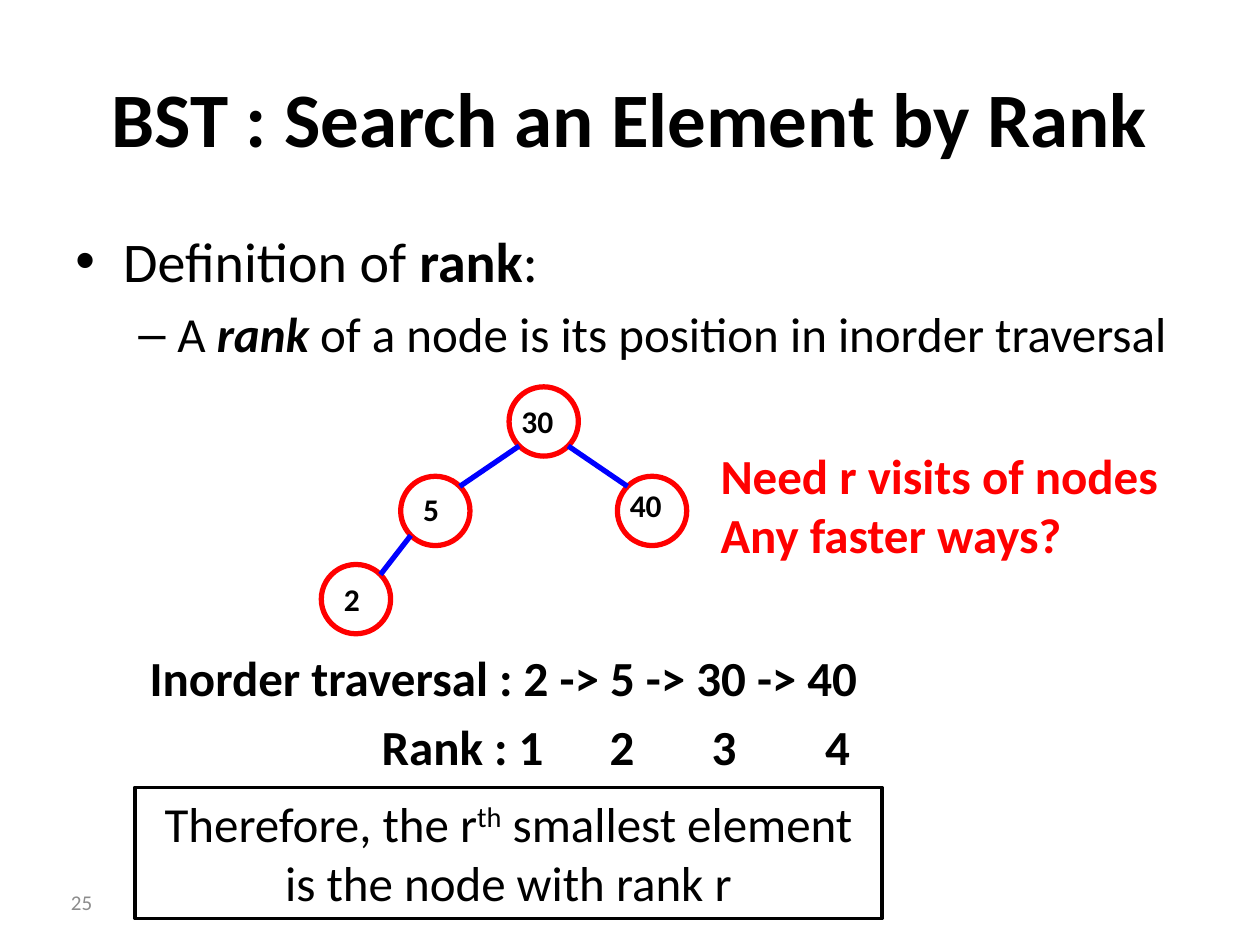
from math import cos, pi

from lxml import etree
from pptx import Presentation
from pptx.dml.color import RGBColor
from pptx.enum.shapes import MSO_CONNECTOR, MSO_SHAPE
from pptx.enum.text import MSO_ANCHOR, PP_ALIGN
from pptx.oxml.ns import qn
from pptx.util import Inches, Pt

NODE_SIZE = 0.55


def color(hex_code):
    return RGBColor.from_string(hex_code)


class SlideBuilder:
    font_name = "Calibri"
    ink = "000000"
    node_line = "FF0000"
    edge_line = "0000FF"

    def __init__(self, slide):
        self.slide = slide

    def run(self, paragraph, text, size, bold=False, italic=False, ink=None, raised=False):
        run = paragraph.add_run()
        run.text = text
        font = run.font
        font.name, font.size = self.font_name, Pt(size)
        font.bold, font.italic = bold, italic
        font.color.rgb = color(ink or self.ink)
        if raised:
            run._r.get_or_add_rPr().set("baseline", "30000")

    def textbox(self, left, top, width, height, anchor=MSO_ANCHOR.TOP, margin=0.05, wrap=True):
        box = self.slide.shapes.add_textbox(
            Inches(left), Inches(top), Inches(width), Inches(height))
        frame = box.text_frame
        frame.word_wrap = wrap
        frame.vertical_anchor = anchor
        frame.margin_top = frame.margin_bottom = Inches(margin)
        return frame

    def label(self, place, text, size, align=PP_ALIGN.LEFT, bold=True, ink=None, **box_style):
        frame = self.textbox(*place, **box_style)
        for index, line in enumerate(text.split("\n")):
            paragraph = frame.add_paragraph() if index else frame.paragraphs[0]
            paragraph.alignment = align
            self.run(paragraph, line, size, bold, ink=ink)
        return frame

    def bullet(self, paragraph, symbol, indent, hanging, size, pieces):
        paragraph.space_before = Pt(size * 0.2)
        properties = paragraph._p.get_or_add_pPr()
        properties.set("marL", str(Inches(indent)))
        properties.set("indent", str(-Inches(hanging)))
        etree.SubElement(properties, qn("a:buFont")).set("typeface", "Arial")
        etree.SubElement(properties, qn("a:buChar")).set("char", symbol)
        for text, bold, italic in pieces:
            self.run(paragraph, text, size, bold, italic)

    def tab_stops(self, paragraph, positions):
        tabs = etree.SubElement(paragraph._p.get_or_add_pPr(), qn("a:tabLst"))
        for position in positions:
            etree.SubElement(tabs, qn("a:tab"), pos=str(Inches(position)), algn="l")

    def outline(self, preset, left, top, width, height, line, weight, fill=None):
        shape = self.slide.shapes.add_shape(
            preset, Inches(left), Inches(top), Inches(width), Inches(height))
        shape.shadow.inherit = False
        if fill:
            shape.fill.solid()
            shape.fill.fore_color.rgb = color(fill)
        else:
            shape.fill.background()
        shape.line.color.rgb = color(line)
        shape.line.width = Pt(weight)
        return shape.text_frame

    def node(self, left, top):
        self.outline(MSO_SHAPE.OVAL, left, top, NODE_SIZE, NODE_SIZE, self.node_line, 3)

    def edge(self, parent, child):
        radius = NODE_SIZE / 2
        reach = radius * cos(pi / 4)
        side = 1 if child[0] > parent[0] else -1
        start_x, start_y = parent[0] + radius + side * reach, parent[1] + radius + reach
        end_x, end_y = child[0] + radius - side * reach, child[1] + radius - reach
        line = self.slide.shapes.add_connector(
            MSO_CONNECTOR.STRAIGHT, Inches(start_x), Inches(start_y),
            Inches(end_x), Inches(end_y))
        line.line.color.rgb = color(self.edge_line)
        line.line.width = Pt(3)
        etree.SubElement(line._element.spPr, qn("a:effectLst"))


def main():
    deck = Presentation()
    deck.slide_width, deck.slide_height = Inches(10), Inches(7.5)
    builder = SlideBuilder(deck.slides.add_slide(deck.slide_layouts[6]))

    builder.label((0.5, 0.3, 9, 1.25), "BST : Search an Element by Rank", 44,
                  PP_ALIGN.CENTER, anchor=MSO_ANCHOR.MIDDLE)

    definition = builder.textbox(0.5, 1.75, 9, 1.25)
    builder.bullet(definition.paragraphs[0], "•", 0.38, 0.38, 32, [
        ("Definition of ", False, False), ("rank", True, False), (":", False, False)])
    meaning = definition.add_paragraph()
    meaning.level = 1
    builder.bullet(meaning, "–", 0.81, 0.31, 28, [
        ("A ", False, False), ("rank", True, True),
        (" of a node is its position in inorder traversal", False, False)])

    nodes = {"30": (4.04, 3.07), "5": (3.18, 3.78), "40": (4.9, 3.78), "2": (2.55, 4.48)}
    key_offsets = {"30": (0, -0.03), "5": (0.08, -0.04), "40": (0, -0.07), "2": (0.08, -0.03)}
    for position in nodes.values():
        builder.node(*position)
    for parent, child in (("30", "5"), ("30", "40"), ("5", "2")):
        builder.edge(nodes[parent], nodes[child])
    for key, (left, top) in nodes.items():
        shift_x, shift_y = key_offsets[key]
        builder.label((left + shift_x, top + shift_y, 0.65, 0.66), key, 18, margin=0.15)

    builder.label((1.09, 5.09, 5.9, 0.57), "Inorder traversal : 2 -> 5 -> 30 -> 40", 28,
                  wrap=False)
    ranks = builder.label((1.09, 5.64, 5.91, 0.57), "\tRank : 1\t2\t3\t4", 28)
    builder.tab_stops(ranks.paragraphs[0], (1.84, 3.65, 4.46, 5.36))

    conclusion = builder.outline(MSO_SHAPE.RECTANGLE, 1.07, 6.25, 5.93, 1.04,
                                 builder.ink, 2, "FFFFFF")
    conclusion.word_wrap = True
    conclusion.vertical_anchor = MSO_ANCHOR.TOP
    statement = conclusion.paragraphs[0]
    statement.alignment = PP_ALIGN.CENTER
    builder.run(statement, "Therefore, the r", 28)
    builder.run(statement, "th", 28, raised=True)
    builder.run(statement, " smallest element is the node with rank r", 28)

    builder.label((0.1, 6.96, 0.73, 0.4), "25", 12, PP_ALIGN.RIGHT, bold=False,
                  ink="8C8C8C", anchor=MSO_ANCHOR.MIDDLE)
    builder.label((5.62, 3.49, 4.12, 1.04), "Need r visits of nodes\nAny faster ways?", 28,
                  ink="FF0000")

    deck.save("out.pptx")


if __name__ == "__main__":
    main()
